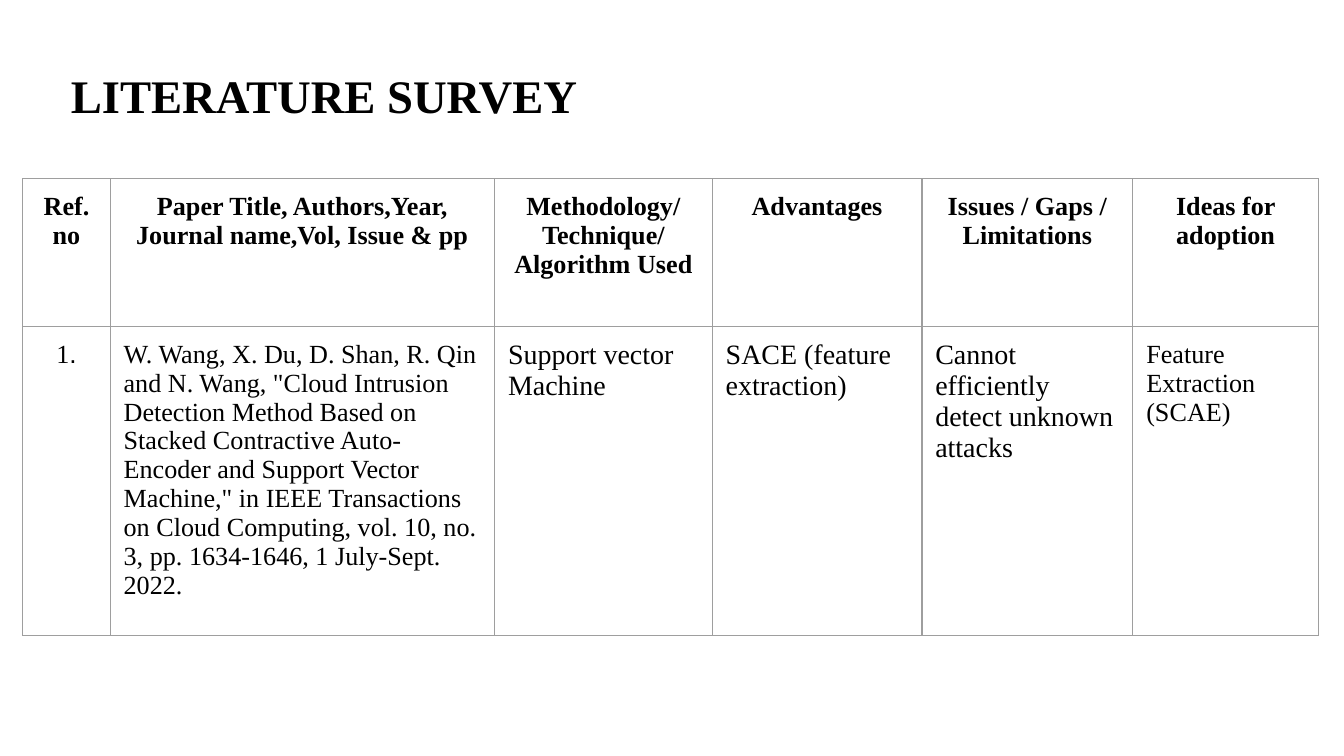
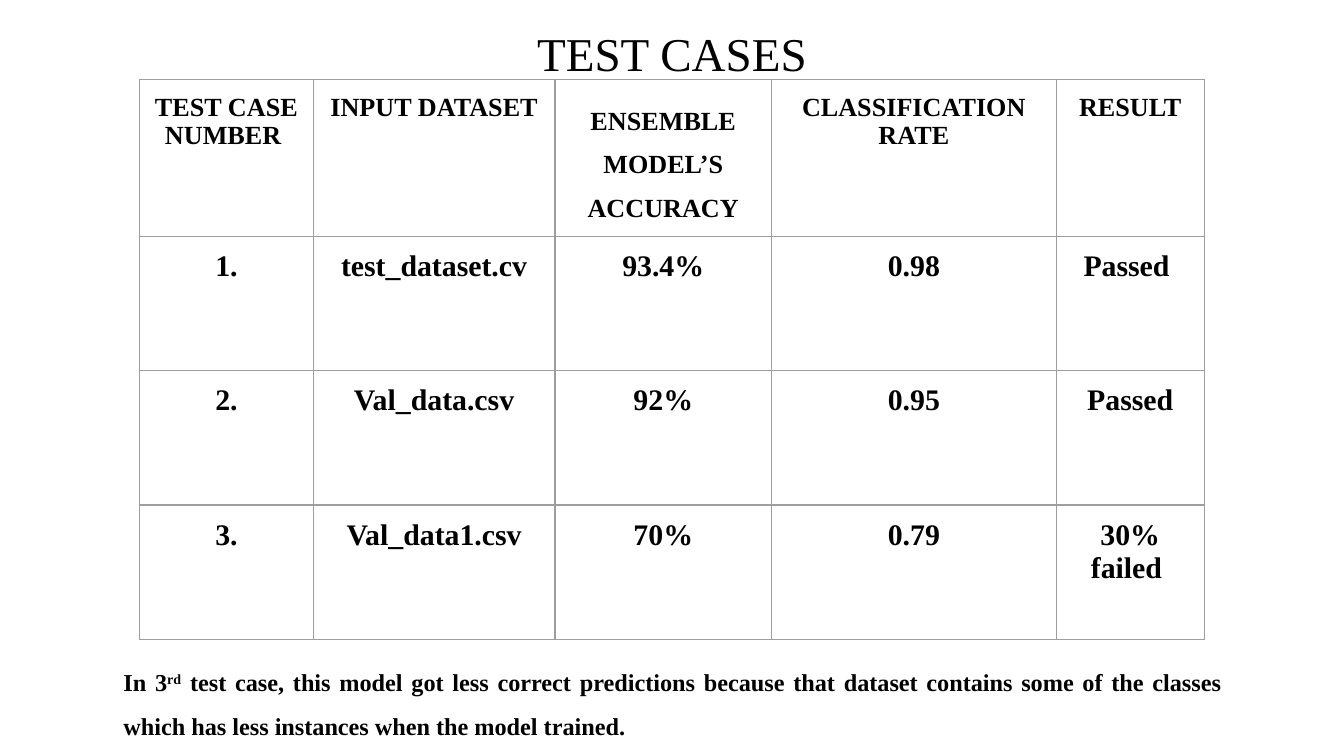
from dataclasses import dataclass

from lxml.etree import SubElement
from pptx import Presentation
from pptx.dml.color import RGBColor
from pptx.enum.text import MSO_ANCHOR as Anchor, MSO_AUTO_SIZE as AutoSize, PP_ALIGN as Align
from pptx.oxml import parse_xml
from pptx.oxml.ns import nsdecls, qn
from pptx.util import Inches, Pt

GRID_COLUMNS, GRID_ROWS = 100, 56.25
UNIT = Inches(10) / GRID_COLUMNS
TITLE_ONLY = 5
SERIF, SANS = "Times New Roman", "Arial"
INK, RULE = "000000", "9E9E9E"


@dataclass(frozen=True)
class Style:
    size: float = 14
    bold: bool = False
    align: Align = Align.LEFT
    spacing: float = 1.0


HEADER = Style(bold=True, align=Align.CENTER)
LOOSE_HEADER = Style(bold=True, align=Align.CENTER, spacing=1.5)
CENTERED = Style(align=Align.CENTER)
BODY = Style()
FINDING = Style(size=15)
RESULT = Style(size=16, bold=True, align=Align.CENTER)

SURVEY_ROWS = [
    [("Ref.\nno", HEADER),
     ("Paper Title, Authors,Year, Journal name,Vol, Issue & pp", HEADER),
     ("Methodology/ Technique/ Algorithm Used", HEADER),
     ("Advantages", HEADER),
     ("Issues / Gaps / Limitations", HEADER),
     ("Ideas for adoption", HEADER)],
    [("1.", CENTERED),
     ('W. Wang, X. Du, D. Shan, R. Qin and N. Wang, "Cloud Intrusion Detection Method '
      'Based on Stacked Contractive Auto-Encoder and Support Vector Machine," in IEEE '
      'Transactions on Cloud Computing, vol. 10, no. 3, pp. 1634-1646, 1 July-Sept. 2022.',
      BODY),
     ("Support vector Machine", FINDING),
     ("SACE (feature extraction)", FINDING),
     ("Cannot efficiently detect unknown attacks", FINDING),
     ("Feature Extraction (SCAE)", BODY)],
]
TEST_HEADERS = [
    ("TEST CASE NUMBER ", HEADER),
    ("INPUT DATASET", HEADER),
    ("ENSEMBLE MODEL’S ACCURACY", LOOSE_HEADER),
    ("CLASSIFICATION RATE", HEADER),
    ("RESULT", HEADER),
]
TEST_RESULTS = [
    ["1.", "test_dataset.cv", "93.4%", "0.98", "Passed "],
    ["2.", "Val_data.csv", "92%", "0.95", "Passed"],
    ["3.", "Val_data1.csv", "70%", "0.79", "30% failed "],
]


def grid(count):
    return round(count * UNIT)


def color(hex_value):
    return RGBColor.from_string(hex_value)


def format_paragraph(paragraph, style):
    paragraph.alignment = style.align
    paragraph.line_spacing = style.spacing
    font = paragraph.font
    font.name, font.size, font.bold = SERIF, Pt(style.size), style.bold
    font.color.rgb = color(INK)


def set_margins(target):
    target.margin_left = target.margin_right = grid(1)
    target.margin_top = target.margin_bottom = grid(1)


def fill_text(frame, text, style):
    frame.text = text
    for paragraph in frame.paragraphs:
        format_paragraph(paragraph, style)


def add_titled_slide(presentation, title, top, style):
    slide = presentation.slides.add_slide(presentation.slide_layouts[TITLE_ONLY])
    shape = slide.shapes.title
    shape.left, shape.top = grid(3.4), grid(top)
    shape.width, shape.height = grid(93.2), grid(5)
    frame = shape.text_frame
    set_margins(frame)
    frame.auto_size, frame.vertical_anchor = AutoSize.NONE, Anchor.TOP
    fill_text(frame, title, style)
    return slide


def rule_cell(cell):
    """Draw a thin line on all four sides of a cell."""
    properties = cell._tc.get_or_add_tcPr()
    for position, side in enumerate(("lnL", "lnR", "lnT", "lnB")):
        line = parse_xml(f'<a:{side} {nsdecls("a")} w="{Pt(0.75)}"/>')
        solid = SubElement(line, qn("a:solidFill"))
        SubElement(solid, qn("a:srgbClr"), val=RULE)
        properties.insert(position, line)


def add_ruled_table(slide, left, top, widths, heights, rows):
    frame = slide.shapes.add_table(len(heights), len(widths), grid(left), grid(top),
                                   grid(sum(widths)), grid(sum(heights)))
    table = frame.table
    table.first_row = table.horz_banding = False
    for column, width in zip(table.columns, widths):
        column.width = grid(width)
    for row, height, contents in zip(table.rows, heights, rows):
        row.height = grid(height)
        for cell, (text, style) in zip(row.cells, contents):
            set_margins(cell)
            cell.fill.background()
            rule_cell(cell)
            fill_text(cell.text_frame, text, style)
    return table


def add_note(slide, left, top, width, height, runs, style):
    """Add a text box from (text, is_superscript) runs."""
    frame = slide.shapes.add_textbox(*map(grid, (left, top, width, height))).text_frame
    frame.word_wrap = True
    set_margins(frame)
    paragraph = frame.paragraphs[0]
    for text, is_superscript in runs:
        run = paragraph.add_run()
        run.text = text
        if is_superscript:
            run._r.get_or_add_rPr().set("baseline", "30000")
    format_paragraph(paragraph, style)


def add_survey_slide(presentation):
    slide = add_titled_slide(presentation, " LITERATURE SURVEY", 4, Style(25, bold=True))
    table = add_ruled_table(slide, 1.7, 13.3, [6.5, 28.6, 16.2, 15.6, 15.7, 13.8],
                            [11, 23], SURVEY_ROWS)
    number = table.cell(1, 0).text_frame.paragraphs[0]
    number.runs[0].text = "1"
    period = number.add_run()
    period.text, period.font.name = ".", SANS


def add_test_slide(presentation):
    slide = add_titled_slide(presentation, "TEST CASES", 0.8,
                             Style(25.2, align=Align.CENTER))
    rows = [TEST_HEADERS] + [[(text, RESULT) for text in row] for row in TEST_RESULTS]
    add_ruled_table(slide, 10.4, 5.9, [12.9, 18, 16.1, 21.2, 11],
                    [11.1] + [10] * len(TEST_RESULTS), rows)
    add_note(slide, 8.2, 47.6, 83.6, 7.5,
             [("In 3", False), ("rd", True),
              (" test case, this model got less correct predictions because that dataset "
               "contains some of the classes which has less instances when the model "
               "trained.", False)],
             Style(13, bold=True, align=Align.JUSTIFY, spacing=1.5))


def main():
    presentation = Presentation()
    presentation.slide_width = grid(GRID_COLUMNS)
    presentation.slide_height = grid(GRID_ROWS)
    add_survey_slide(presentation)
    add_test_slide(presentation)
    presentation.save("out.pptx")


if __name__ == "__main__":
    main()
